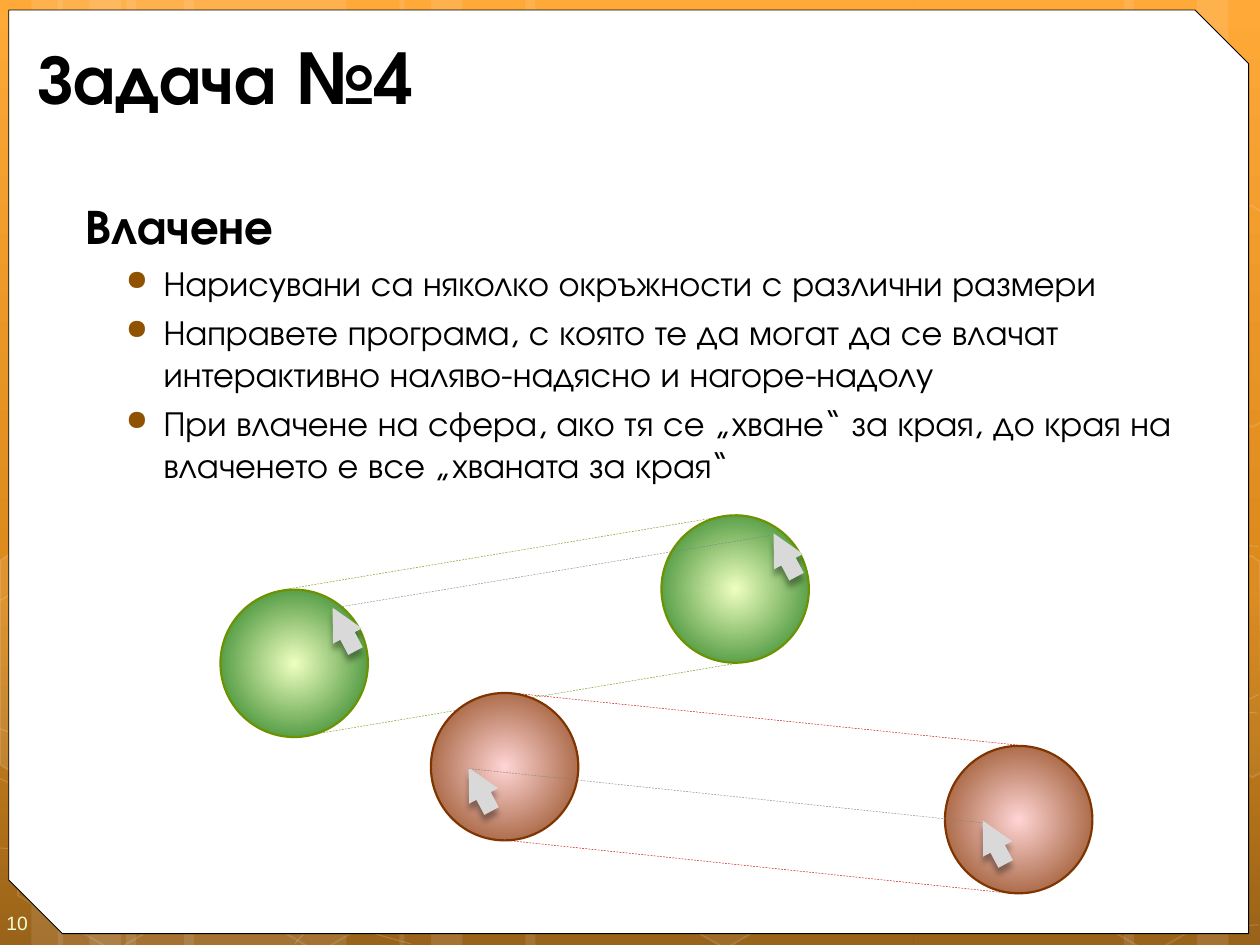
from lxml.etree import SubElement
from pptx import Presentation
from pptx.dml.color import RGBColor
from pptx.enum.dml import MSO_LINE
from pptx.enum.shapes import MSO_CONNECTOR, MSO_SHAPE
from pptx.enum.text import MSO_ANCHOR
from pptx.oxml.ns import qn
from pptx.util import Inches, Pt

WHITE = RGBColor(0xFF, 0xFF, 0xFF)
BLACK = RGBColor(0x00, 0x00, 0x00)
GRAY = RGBColor(0x80, 0x80, 0x80)
CURSOR_GRAY = RGBColor(0xD9, 0xD9, 0xD9)
ORANGE = RGBColor(0xFE, 0xA0, 0x22)
DARK_ORANGE = RGBColor(0xD7, 0x7C, 0x01)
BROWN = RGBColor(0x8F, 0x52, 0x01)
PALE_GREEN = RGBColor(0xEF, 0xFF, 0xC1)
DEEP_GREEN = RGBColor(0x00, 0x66, 0x00)
RIM_GREEN = RGBColor(0x6D, 0x92, 0x00)
RAIL_GREEN = RGBColor(0x6F, 0x94, 0x00)
PINK = RGBColor(0xFF, 0xD5, 0xD5)
RUST = RGBColor(0x80, 0x34, 0x00)
RED = RGBColor(0xC0, 0x00, 0x00)
NUMBER_COLOR = RGBColor(0xEE, 0xFF, 0xD6)
FONT = "TeX Gyre Adventor"

STRIPS = [(1, 1.75), (0, 0.5), (0.25, 0.83), (1.46, 1.75), (0.46, 0.5), (0.71, 0.83),
          (7.25, 1.75), (9.5, 0.5), (8.92, 0.83), (4.17, 3.08), (3.17, 0.5), (3.42, 0.83)]
CURVES = [
    [(-0.01, 6.73), (0.53, 6.76), (1.07, 6.79), (1.82, 6.78), (2.57, 6.77), (3.49, 6.75),
     (4.5, 6.65), (5.5, 6.55), (6.92, 6.36), (7.83, 6.17), (8.75, 5.98), (9.69, 5.68),
     (9.99, 5.51)],
    [(-0.01, 4.77), (0.28, 4.61), (0.56, 4.46), (1.13, 4.31), (1.7, 4.16), (2.5, 3.94),
     (3.39, 3.87), (4.28, 3.8), (5.36, 3.79), (6.46, 3.87), (7.56, 3.95), (9.39, 4.26),
     (9.99, 4.34)],
    [(-0.02, 6.17), (1.18, 6.72), (2.39, 7.27), (3.26, 7.49)],
    [(-0.01, 5.78), (0.3, 5.89), (0.61, 6), (1.2, 6.16), (1.78, 6.31), (2.65, 6.56),
     (3.48, 6.73), (4.32, 6.9), (5.37, 7.08), (6.2, 7.18), (7.02, 7.29), (7.91, 7.33),
     (8.44, 7.36), (8.97, 7.4), (9.11, 7.38), (9.37, 7.38), (9.62, 7.37), (9.81, 7.35),
     (9.99, 7.34)],
    [(2.34, 7.49), (2.52, 7.29), (2.69, 7.09), (2.94, 6.91), (3.18, 6.73), (3.51, 6.53),
     (3.79, 6.39), (4.07, 6.25), (4.24, 6.19), (4.61, 6.09), (4.98, 5.99), (5.65, 5.85),
     (6, 5.78), (6.35, 5.71), (6.41, 5.71), (6.72, 5.69), (7.03, 5.66), (7.51, 5.63),
     (7.86, 5.62), (8.2, 5.61), (8.78, 5.62), (8.78, 5.62), (9, 5.62), (9.22, 5.62),
     (9.44, 5.62), (9.63, 5.63), (9.8, 5.64), (9.98, 5.66)],
]
HEXAGONS = [(3.28, 3.13, 10, 12), (4.07, 4.51, 0, 12), (4.08, 1.74, 7, 8), (3.26, 0.36, 4, 8),
            (4.88, 5.89, 6, 12), (0.03, 5.91, 0, 12), (0.06, 3.12, 7, 8), (0.85, 4.51, 0, 12),
            (1.65, 5.92, 0, 12), (1.67, 3.13, 7, 8), (0.87, 1.71, 0, 12), (7.44, 4.53, 10, 12),
            (8.26, 5.93, 0, 12), (8.26, 3.14, 7, 8)]
CUT_HEXAGONS = [
    ([(0, 4.45), (0.11, 4.38), (0.87, 4.82), (0.87, 5.7), (0.12, 6.14), (0, 6.07)], 10),
    ([(9.18, 4.85), (9.93, 4.41), (10, 4.46), (10.01, 6.13), (9.94, 6.17), (9.17, 5.73)], 4),
    ([(9.18, 2.07), (9.93, 1.63), (10.01, 1.68), (10.01, 3.35), (9.94, 3.39), (9.17, 2.95)], 0),
]
RAILS = [((4.07, 5.5), (8.14, 5.92), RED), ((3.93, 6.66), (8.02, 7.09), RED),
         ((2.42, 5.84), (5.93, 5.25), RAIL_GREEN), ((2.25, 4.68), (5.73, 4.1), RAIL_GREEN)]
GREEN_BALL = (PALE_GREEN, DEEP_GREEN, RIM_GREEN, (0.85, 0.12))
RED_BALL = (PINK, RUST, RUST, (0.26, 0.57))
BALLS = [(1.75, 4.68, -8.1, GREEN_BALL), (3.42, 5.5, 6.9, RED_BALL),
         (5.25, 4.09, -9.8, GREEN_BALL), (7.5, 5.92, 6, RED_BALL)]
TRAILS = [((2.62, 4.83), (6.11, 4.25)), ((3.72, 6.1), (7.8, 6.53))]
TASKS = [
    "Нарисувани са няколко окръжности с различни размери",
    "Направете програма, с която те да могат да се влачат интерактивно наляво-надясно и нагоре-надолу",
    "При влачене на сфера, ако тя се „хване“ за края, до края на влаченето е все „хваната за края“",
]


def set_alpha(parent, percent):
    color = next(parent.iter(qn("a:srgbClr")))
    SubElement(color, qn("a:alpha"), val=str(percent * 1000))


def set_gradient(root, stops, circular=False):
    solid = next(root.iter(qn("a:solidFill")))
    grad = solid.makeelement(qn("a:gradFill"), {"rotWithShape": "1"})
    stop_list = SubElement(grad, qn("a:gsLst"))
    for pos, color in stops:
        stop = SubElement(stop_list, qn("a:gs"), pos=str(pos * 1000))
        SubElement(stop, qn("a:srgbClr"), val=str(color))
    if circular:
        shade = SubElement(grad, qn("a:path"), path="circle")
        SubElement(shade, qn("a:fillToRect"), l="50000", t="50000", r="50000", b="50000")
    else:
        SubElement(grad, qn("a:lin"), ang="5400000", scaled="0")
    solid.getparent().replace(solid, grad)


def style_shape(sp, fill=None, alpha=100, line=None, width=1, line_alpha=100):
    sp.shadow.inherit = False
    if fill is None:
        sp.fill.background()
    else:
        sp.fill.solid()
        sp.fill.fore_color.rgb = fill
        if alpha < 100:
            set_alpha(sp.element.spPr.find(qn("a:solidFill")), alpha)
    if line is None:
        sp.line.fill.background()
    else:
        sp.line.color.rgb = line
        sp.line.width = Pt(width)
        if line_alpha < 100:
            set_alpha(sp.element.spPr.find(qn("a:ln")), line_alpha)


def add_preset(s, kind, x, y, w, h, rotation=0, adjustments=(), **style):
    sp = s.shapes.add_shape(kind, Inches(x), Inches(y), Inches(w), Inches(h))
    sp.rotation = rotation
    for i, value in enumerate(adjustments):
        sp.adjustments[i] = value
    style_shape(sp, **style)
    return sp


def add_outline(s, points, close, **style):
    points = [(Inches(x), Inches(y)) for x, y in points]
    builder = s.shapes.build_freeform(*points[0])
    builder.add_line_segments(points[1:], close=close)
    sp = builder.convert_to_shape()
    style_shape(sp, **style)
    return sp


def add_curve(s, points):
    sp = add_outline(s, points, False, line=WHITE, width=0.5, line_alpha=20)
    outline = next(sp.element.iter(qn("a:path")))
    segments = outline.findall(qn("a:lnTo"))
    for i in range(0, len(segments), 3):
        bezier = SubElement(outline, qn("a:cubicBezTo"))
        for segment in segments[i:i + 3]:
            bezier.append(segment[0])
            outline.remove(segment)


def add_dashed_line(s, start, end, color):
    line = s.shapes.add_connector(MSO_CONNECTOR.STRAIGHT, *map(Inches, start + end))
    line.line.color.rgb = color
    line.line.width = Pt(0.25)
    line.line.dash_style = MSO_LINE.DASH
    SubElement(line.element.spPr, qn("a:effectLst"))


def add_ball(s, x, y, rotation, look):
    center, edge, rim, (dx, dy) = look
    sp = add_preset(s, MSO_SHAPE.OVAL, x, y, 1.17, 1.17, rotation,
                    fill=center, line=rim, width=1.25)
    set_gradient(sp.element.spPr, [(0, center), (100, edge)], circular=True)
    cursor = add_preset(s, MSO_SHAPE.DOWN_ARROW, x + dx, y + dy, 0.26, 0.39, 152.1,
                        (0.5, 0.98), fill=CURSOR_GRAY)
    effects = cursor.element.spPr.find(qn("a:effectLst"))
    shadow = SubElement(effects, qn("a:outerShdw"), blurRad=str(Pt(3.5)), dist=str(Pt(4)),
                        dir="5400000", rotWithShape="0")
    SubElement(shadow, qn("a:srgbClr"), val=str(BLACK))
    set_alpha(shadow, 34)


def add_text_frame(s, x, y, w, h, anchor):
    tf = s.shapes.add_textbox(Inches(x), Inches(y), Inches(w), Inches(h)).text_frame
    tf.word_wrap = True
    tf.vertical_anchor = anchor
    return tf


def add_run(p, text, size, color=BLACK, bold=False, font=FONT):
    r = p.add_run()
    r.text = text
    r.font.name = font
    r.font.size = Pt(size)
    r.font.bold = bold
    r.font.color.rgb = color


def set_indent(p, left, first=0):
    pPr = p._p.get_or_add_pPr()
    pPr.set("marL", str(Inches(left)))
    pPr.set("indent", str(Inches(first)))
    return pPr


def add_bullet(tf, text):
    p = tf.add_paragraph()
    p.level = 1
    p.space_before = Pt(4)
    pPr = set_indent(p, 0.7, -0.3)
    color = SubElement(pPr, qn("a:buClr"))
    SubElement(color, qn("a:srgbClr"), val=str(BROWN))
    SubElement(pPr, qn("a:buSzPct"), val="80000")
    SubElement(pPr, qn("a:buChar"), char="●")
    add_run(p, text, 20)


def add_backdrop(s):
    s.background.fill.solid()
    s.background.fill.fore_color.rgb = ORANGE
    set_gradient(s.element, [(0, ORANGE), (62, DARK_ORANGE), (100, BROWN)])
    for x, w in STRIPS:
        add_preset(s, MSO_SHAPE.RECTANGLE, x, 0, w, 7.5, fill=WHITE, alpha=10)
    for points in CURVES:
        add_curve(s, points)
    for x, y, alpha, line_alpha in HEXAGONS:
        add_preset(s, MSO_SHAPE.HEXAGON, x, y, 1.75, 1.52, 30, (0.285, 1.155),
                   fill=WHITE if alpha else None, alpha=alpha, line=WHITE, line_alpha=line_alpha)
    for points, alpha in CUT_HEXAGONS:
        add_outline(s, points, True, fill=WHITE if alpha else None, alpha=alpha,
                    line=WHITE, line_alpha=12)
    add_preset(s, MSO_SHAPE.SNIP_2_DIAG_RECTANGLE, 0.07, 0.08, 9.84, 7.33,
               adjustments=(0, 0.058), fill=WHITE, line=BLACK, width=0.5)


def add_texts(s):
    tf = add_text_frame(s, 0, 7.1, 0.58, 0.4, MSO_ANCHOR.MIDDLE)
    tf.margin_left, tf.margin_top = Inches(0.05), Inches(0.15)
    tf.margin_right, tf.margin_bottom = 0, Inches(0.1)
    add_run(tf.paragraphs[0], "10", 11, NUMBER_COLOR, font="Arial")
    tf = add_text_frame(s, 0.2, 0.25, 9.47, 0.71, MSO_ANCHOR.MIDDLE)
    add_run(tf.paragraphs[0], "Задача №4", 40, bold=True)
    tf = add_text_frame(s, 0.5, 1.5, 9.42, 5.92, MSO_ANCHOR.TOP)
    set_indent(tf.paragraphs[0], 0.08)
    add_run(tf.paragraphs[0], "Влачене", 28, bold=True)
    for task in TASKS:
        add_bullet(tf, task)


def main():
    prs = Presentation()
    prs.slide_width, prs.slide_height = Inches(10), Inches(7.5)
    s = prs.slides.add_slide(prs.slide_layouts[6])
    add_backdrop(s)
    for start, end, color in RAILS:
        add_dashed_line(s, start, end, color)
    add_texts(s)
    for ball in BALLS:
        add_ball(s, *ball)
    for start, end in TRAILS:
        add_dashed_line(s, start, end, GRAY)
    prs.save("out.pptx")


if __name__ == "__main__":
    main()
